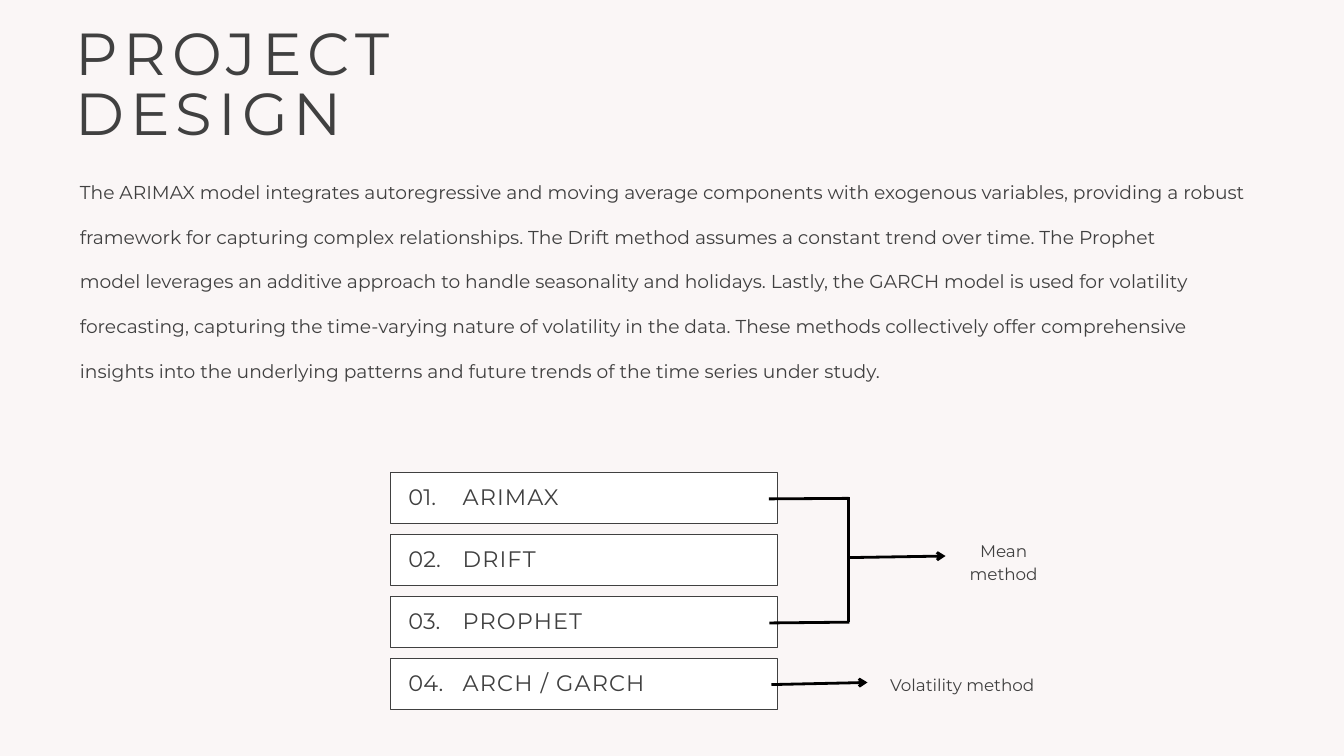
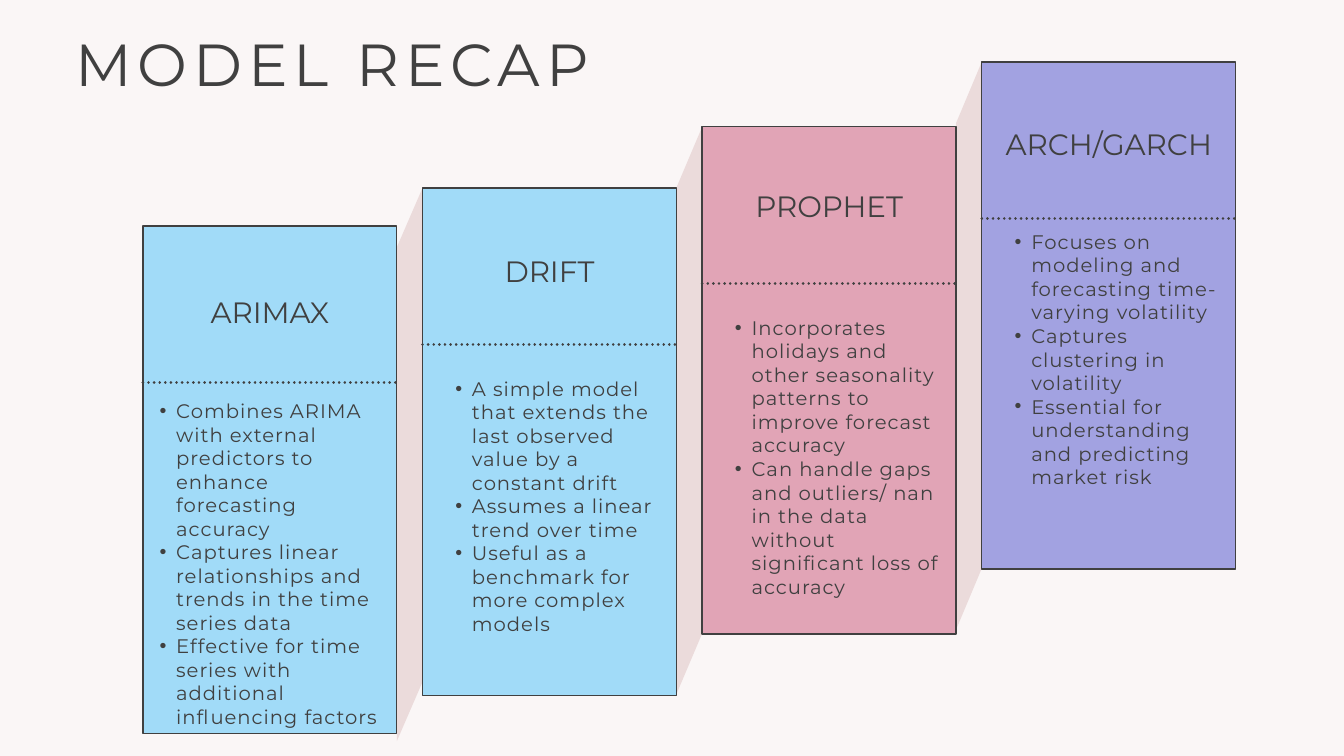
from dataclasses import dataclass

from lxml import etree
from pptx import Presentation
from pptx.dml.color import RGBColor
from pptx.enum.dml import MSO_LINE
from pptx.enum.shapes import MSO_CONNECTOR, MSO_SHAPE
from pptx.enum.text import MSO_ANCHOR, MSO_AUTO_SIZE, PP_ALIGN
from pptx.oxml.ns import qn
from pptx.util import Cm, Pt

CENTER, LEFT = PP_ALIGN.CENTER, PP_ALIGN.LEFT
TOP, MIDDLE = MSO_ANCHOR.TOP, MSO_ANCHOR.MIDDLE
GROW = MSO_AUTO_SIZE.SHAPE_TO_FIT_TEXT
RECTANGLE = MSO_SHAPE.RECTANGLE
STRAIGHT = MSO_CONNECTOR.STRAIGHT
DOTTED = MSO_LINE.ROUND_DOT
HARD_SPACE = chr(160)  # keeps two words on one line


@dataclass(frozen=True)
class Theme:
    font: str = "Montserrat"
    background: str = "FAF6F6"
    ink: str = "404040"
    arrow: str = "000000"
    white: str = "FFFFFF"
    blue: str = "A1DBF8"
    pink: str = "E1A4B6"
    violet: str = "A2A2E1"
    ribbon: str = "EBDBDB"
    title_size: float = 63.5
    heading_size: float = 31.5
    step_size: float = 24
    bullet_size: float = 21
    body_size: float = 20
    label_size: float = 18
    outline: float = 1.5
    rule: float = 3


THEME = Theme()

# Content: project design
DESIGN_TITLE = ["PROJECT", "DESIGN"]
DESIGN_TEXT = (
    "The ARIMAX model integrates autoregressive and moving average components "
    "with exogenous variables, providing a robust framework for capturing "
    f"complex relationships.{HARD_SPACE}The Drift method assumes a constant "
    f"trend over time. The Prophet model{HARD_SPACE}leverages an additive "
    "approach to handle seasonality and holidays. Lastly, the GARCH model is "
    "used for volatility forecasting, capturing the time-varying nature of "
    "volatility in the data. These methods collectively offer comprehensive "
    "insights into the underlying patterns and future trends of the time "
    "series under study."
)
STEPS = ["ARIMAX", "DRIFT", "PROPHET", "ARCH / GARCH"]
# Method labels: text, left, top, width
METHODS = [
    ("Mean method", 35.74, 20.31, 4.39),
    ("Volatility method", 33.13, 25.37, 6.48),
]
# Bracket and arrows: start, end, has an arrowhead
METHOD_LINES = [
    ((32.08, 18.8), (32.08, 23.5), False),
    ((29.08, 23.55), (32.1, 23.52), False),
    ((29.06, 18.86), (32.08, 18.84), False),
    ((32.1, 21.08), (35.74, 21.02), True),
    ((29.16, 25.88), (32.79, 25.8), True),
]

# Content: model recap
RECAP_TITLE = ["MODEL RECAP"]
CARDS = [
    {
        "name": "ARIMAX", "fill": THEME.blue, "top": 8.55,
        "heading": (11.12, 7.19), "list": (0, 15.09, 9.47, 12.75),
        "points": [
            "Combines ARIMA with external predictors to enhance forecasting accuracy",
            "Captures linear relationships and trends in the time series data",
            "Effective for time series with additional influencing factors",
        ],
    },
    {
        "name": "DRIFT", "fill": THEME.blue, "top": 7.11,
        "heading": (9.57, 7.19), "list": (0.61, 14.24, 8.41, 10.97),
        "points": [
            "A simple model that extends the last observed value by a constant drift",
            "Assumes a linear trend over time",
            "Useful as a benchmark for more complex models",
        ],
    },
    {
        "name": "PROPHET", "fill": THEME.pink, "top": 4.79,
        "heading": (7.13, 7.19), "list": (0.61, 11.94, 8.41, 11.86),
        "points": [
            "Incorporates holidays and other seasonality "
            f"patterns{HARD_SPACE}to improve forecast accuracy",
            "Can handle gaps and outliers/ nan in the data without significant "
            "loss of accuracy",
        ],
    },
    {
        "name": "ARCH/GARCH", "fill": THEME.violet, "top": 2.34,
        "heading": (4.77, 8.81), "list": (0.61, 8.69, 8.41, 10.97),
        "points": [
            "Focuses on modeling and forecasting time-varying volatility",
            "Captures clustering in volatility",
            "Essential for understanding and predicting market risk",
        ],
    },
]
# Ribbons between neighbouring cards: left top, right top, height
RIBBONS = [(9.35, 7.11, 18.67), (7.09, 4.8, 19.15), (4.65, 2.34, 19.15)]


def color(value):
    return RGBColor.from_string(value)


def add_slide(presentation):
    slide = presentation.slides.add_slide(presentation.slide_layouts[6])
    slide.background.fill.solid()
    slide.background.fill.fore_color.rgb = color(THEME.background)
    return slide


def add_bullet(paragraph):
    paragraph.level = 1
    properties = paragraph._p.get_or_add_pPr()
    properties.set("marL", str(Cm(1.26)))
    properties.set("indent", str(-Cm(0.63)))
    etree.SubElement(properties, qn("a:buFont")).set("typeface", "Arial")
    etree.SubElement(properties, qn("a:buChar")).set("char", "•")


def add_text(slide, lines, left, top, width, height, *, size, align=LEFT,
             anchor=TOP, line_spacing=None, tracking=0, bullets=False):
    box = slide.shapes.add_textbox(Cm(left), Cm(top), Cm(width), Cm(height))
    frame = box.text_frame
    frame.word_wrap = True
    frame.auto_size = GROW
    frame.vertical_anchor = anchor
    frame.margin_left = frame.margin_right = 0
    frame.margin_top = frame.margin_bottom = 0
    for index, line in enumerate(lines):
        paragraph = frame.add_paragraph() if index else frame.paragraphs[0]
        if bullets:
            add_bullet(paragraph)
        paragraph.alignment = align
        if line_spacing:
            paragraph.line_spacing = line_spacing
        run = paragraph.add_run()
        run.text = line
        run.font.name = THEME.font
        run.font.size = Pt(size)
        run.font.color.rgb = color(THEME.ink)
        if tracking:
            run._r.get_or_add_rPr().set("spc", str(round(tracking * 100)))


def add_title(slide, lines, width, height, line_spacing=None):
    add_text(slide, lines, 2.85, 1.04, width, height, size=THEME.title_size,
             tracking=6.43, line_spacing=line_spacing)


def paint(shape, fill, outlined=True):
    shape.shadow.inherit = False
    shape.fill.solid()
    shape.fill.fore_color.rgb = color(fill)
    if outlined:
        shape.line.color.rgb = color(THEME.ink)
        shape.line.width = Pt(THEME.outline)
    else:
        shape.line.fill.background()


def add_panel(slide, left, top, width, height, fill):
    panel = slide.shapes.add_shape(
        RECTANGLE, Cm(left), Cm(top), Cm(width), Cm(height))
    paint(panel, fill)


def add_line(slide, start, end, line_color, dash=None, arrowhead=False):
    points = [Cm(value) for value in (*start, *end)]
    connector = slide.shapes.add_connector(STRAIGHT, *points)
    connector.line.color.rgb = color(line_color)
    connector.line.width = Pt(THEME.rule)
    outline = connector.line._get_or_add_ln()
    if dash:
        connector.line.dash_style = dash
        outline.set("cap", "rnd")
    if arrowhead:
        etree.SubElement(outline, qn("a:tailEnd")).set("type", "arrow")
    etree.SubElement(connector._element.spPr, qn("a:effectLst"))


def add_ribbon(slide, left, right, left_top, right_top, height):
    corners = [(right, right_top), (left, left_top),
               (left, left_top + height), (right, right_top + height)]
    points = [(Cm(x), Cm(y)) for x, y in corners]
    builder = slide.shapes.build_freeform(*points[0])
    builder.add_line_segments(points[1:], close=True)
    paint(builder.convert_to_shape(), THEME.ribbon, outlined=False)


def build_design(presentation):
    slide = add_slide(presentation)
    add_title(slide, DESIGN_TITLE, 16.71, 4.57, line_spacing=Pt(64))
    add_text(slide, [DESIGN_TEXT], 3.02, 5.98, 44.73, 8.31,
             size=THEME.body_size, line_spacing=2.0)

    # Numbered steps
    first_top, pitch = 17.87, 2.34
    for index, name in enumerate(STEPS):
        top = first_top + index * pitch
        add_panel(slide, 14.76, top, 14.63, 1.93, THEME.white)
        step_style = {"size": THEME.step_size, "line_spacing": Pt(24)}
        add_text(slide, [f"{index + 1:02}."], 15.44, top + 0.56, 2.06, 0.91,
                 **step_style)
        add_text(slide, [name], 17.49, top + 0.56, 10.97, 0.91,
                 tracking=1.2, **step_style)

    # Method bracket, arrows and labels
    for start, end, arrowhead in METHOD_LINES:
        add_line(slide, start, end, THEME.arrow, arrowhead=arrowhead)
    for label, left, top, width in METHODS:
        add_text(slide, [label], left, top, width, 0.86,
                 size=THEME.label_size, align=CENTER, line_spacing=Pt(25.2))


def build_recap(presentation):
    slide = add_slide(presentation)
    add_title(slide, RECAP_TITLE, 38.63, 2.72)
    first_left, pitch, width, height = 5.4, 10.57, 9.6, 19.18
    lefts = [first_left + index * pitch for index in range(len(CARDS))]

    # Ribbons fill the gaps between cards
    for left, next_left, ribbon in zip(lefts, lefts[1:], RIBBONS):
        add_ribbon(slide, left + width, next_left, *ribbon)

    # Cards
    for left, card in zip(lefts, CARDS):
        add_panel(slide, left, card["top"], width, height, card["fill"])
        rule_top = card["top"] + 5.92
        add_line(slide, (left, rule_top), (left + width, rule_top),
                 THEME.ink, dash=DOTTED)
        heading_top, heading_width = card["heading"]
        heading_left = left + (width - heading_width) / 2
        add_text(slide, [card["name"]], heading_left, heading_top,
                 heading_width, 1.3, size=THEME.heading_size, align=CENTER,
                 anchor=MIDDLE, line_spacing=Pt(38.4))
        inset, *list_area = card["list"]
        add_text(slide, card["points"], left + inset, *list_area,
                 size=THEME.bullet_size, tracking=1.05, bullets=True)


def main():
    presentation = Presentation()
    presentation.slide_width = Cm(50.8)
    presentation.slide_height = Cm(28.58)
    build_design(presentation)
    build_recap(presentation)
    presentation.save("out.pptx")


if __name__ == "__main__":
    main()
